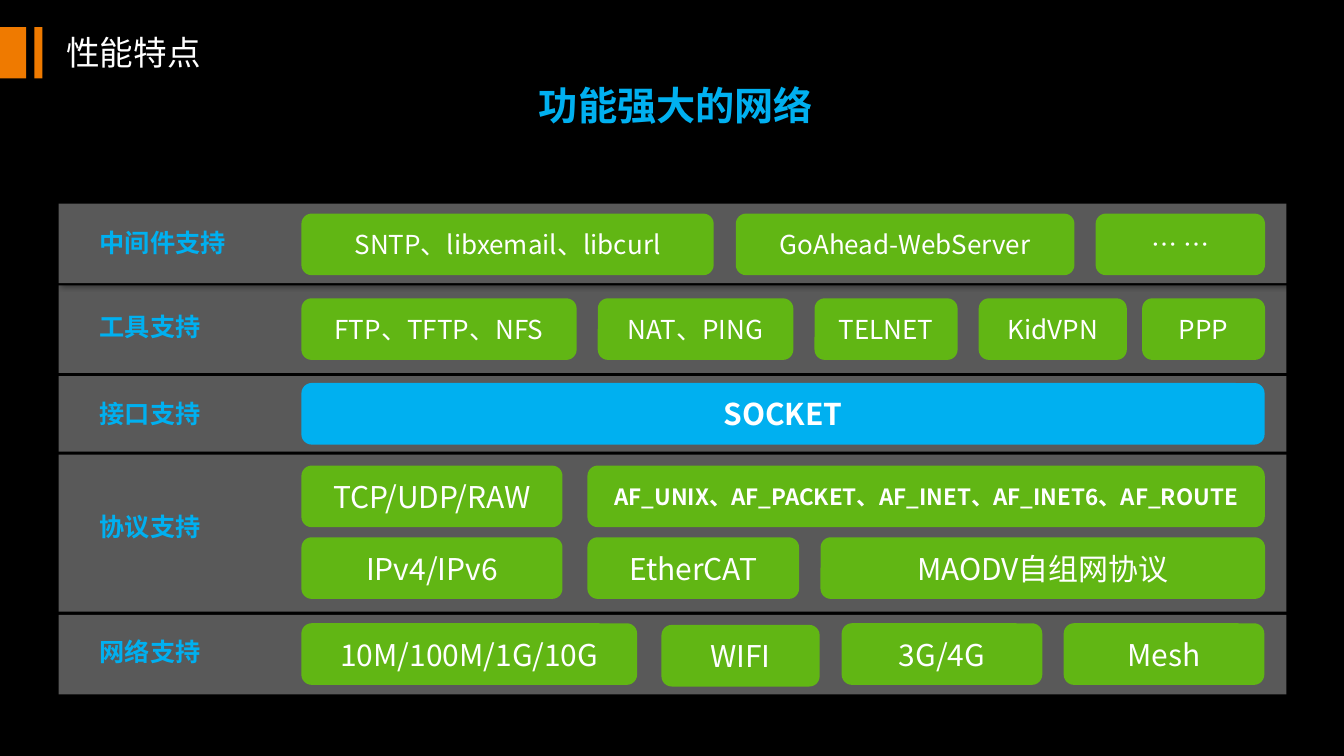
"""Builds the slide on networking features: five layers of support and their components."""
from lxml import etree
from pptx import Presentation
from pptx import util as u
from pptx.dml.color import RGBColor
from pptx.enum import shapes, text
from pptx.oxml import ns

COLORS = {"back": "000000", "band": "595959", "chip": "61B614",
          "blue": "00B0F0", "white": "FFFFFF", "orange": "EF7A00"}
FONT = "Noto Sans CJK SC"
RECT = shapes.MSO_SHAPE.RECTANGLE
ROUNDED = shapes.MSO_SHAPE.ROUNDED_RECTANGLE
LEFT, CENTER = text.PP_ALIGN.LEFT, text.PP_ALIGN.CENTER
BAND_LEFT, BAND_WIDTH = 41.8, 877
LABEL_LEFT, LABEL_WIDTH, LABEL_HEIGHT = 64.1, 151, 29
CHIP_LEFT, CHIP_HEIGHT = 215.3, 44

deck = Presentation()
deck.slide_width, deck.slide_height = u.Pt(960), u.Pt(540)
page = deck.slides.add_slide(deck.slide_layouts[6])
page.background.fill.solid()
page.background.fill.fore_color.rgb = RGBColor.from_string(COLORS["back"])


def add_box(kind, place, color):
    """Add a filled shape without outline or shadow."""
    box = page.shapes.add_shape(kind, *map(u.Pt, place))
    box.shadow.inherit = False
    box.fill.solid()
    box.fill.fore_color.rgb = RGBColor.from_string(COLORS[color])
    box.line.fill.background()
    return box


def write(box, words, size, color, bold=False, align=CENTER, wrap=True):
    """Write one formatted paragraph into a box."""
    box.text_frame.word_wrap = wrap
    para = box.text_frame.paragraphs[0]
    para.alignment = align
    span = para.add_run()
    span.text = words
    for name, value in {"name": FONT, "size": u.Pt(size), "bold": bold}.items():
        setattr(span.font, name, value)
    span.font.color.rgb = RGBColor.from_string(COLORS[color])


titles = [
    ("功能强大的网络", (376.6, 54.7, 212.4, 41), 28, "blue", True, CENTER),
    ("性能特点", (40.3, 19.4, 111.6, 36), 24, "white", False, LEFT),
]
for words, place, size, color, bold, align in titles:
    box = page.shapes.add_textbox(*map(u.Pt, place))
    write(box, words, size, color, bold, align, wrap=False)

for left, width in [(0, 18.7), (24.5, 5.8)]:
    add_box(RECT, (left, 19.4, width, 36.7), "orange")

layers = [
    ("工具支持", 203.8, 62.6, 218.9),
    ("中间件支持", 145.4, 56.9, 159.1),
    ("接口支持", 268.6, 54, 280.8),
    ("协议支持", 324.7, 112.3, 361.4),
    ("网络支持", 439.2, 56.9, 450.7),
]
for words, top, height, label_top in layers:
    band = add_box(RECT, (BAND_LEFT, top, BAND_WIDTH, height), "band")
    effects = band._element.spPr.find(ns.qn("a:effectLst"))
    shadow = etree.SubElement(effects, ns.qn("a:outerShdw"), blurRad=str(u.Pt(4)),
                              dist=str(u.Pt(3)), dir="2700000", algn="tl", rotWithShape="0")
    tint = etree.SubElement(shadow, ns.qn("a:srgbClr"), val=COLORS["back"])
    etree.SubElement(tint, ns.qn("a:alpha"), val="40000")
    label = page.shapes.add_textbox(*map(u.Pt, (LABEL_LEFT, label_top, LABEL_WIDTH, LABEL_HEIGHT)))
    write(label, words, 18, "blue", True, LEFT)

rows = [
    (152.6, 18.6, "chip", False, [("SNTP、libxemail、libcurl", CHIP_LEFT, 294.5),
                                  ("GoAhead-WebServer", 525.6, 241.9),
                                  ("… …", 782.6, 121)]),
    (213.1, 18.6, "chip", False, [("FTP、TFTP、NFS", CHIP_LEFT, 196.6),
                                  ("NAT、PING", 427, 139.7),
                                  ("TELNET", 581.8, 102.2),
                                  ("KidVPN", 699.1, 105.8),
                                  ("PPP", 815.8, 87.8)]),
    (273.6, 21.4, "blue", True, [("SOCKET", CHIP_LEFT, 688)]),
    (332.6, 21.4, "chip", False, [("TCP/UDP/RAW", CHIP_LEFT, 186.5)]),
    (332.6, 16, "chip", True, [("AF_UNIX、AF_PACKET、AF_INET、AF_INET6、AF_ROUTE", 419.6, 483.8)]),
    (383.8, 21.4, "chip", False, [("IPv4/IPv6", CHIP_LEFT, 186.5),
                                  ("EtherCAT", 419.6, 151.2),
                                  ("MAODV自组网协议", 586.1, 317.5)]),
    (445.2, 21.4, "chip", False, [("10M/100M/1G/10G", CHIP_LEFT, 239.8),
                                  ("3G/4G", 601.2, 143.3),
                                  ("Mesh", 759.8, 143.3)]),
    (446.4, 21.4, "chip", False, [("WIFI", 472.5, 113)]),
]
for top, size, color, bold, chips in rows:
    for words, left, width in chips:
        chip = add_box(ROUNDED, (left, top, width, CHIP_HEIGHT), color)
        chip.text_frame.vertical_anchor = text.MSO_ANCHOR.MIDDLE
        write(chip, words, size, "white", bold)

deck.save("out.pptx")
